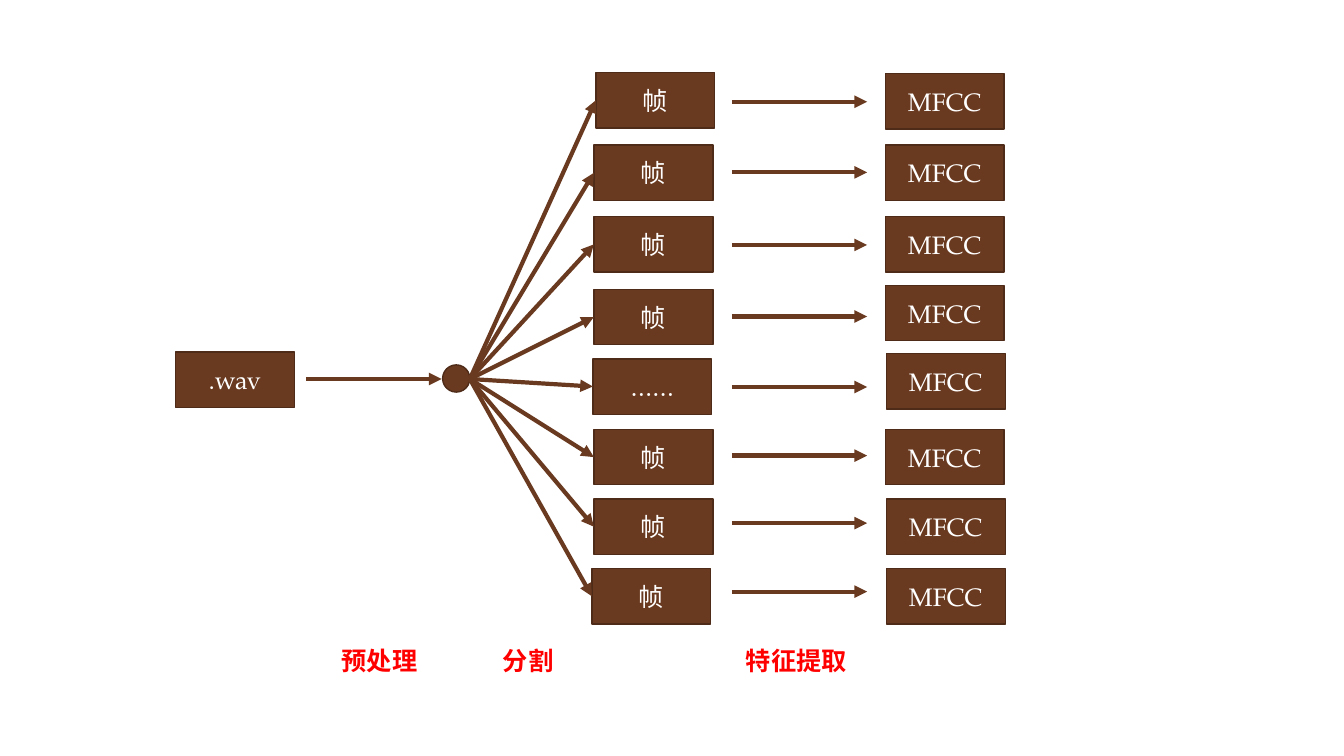
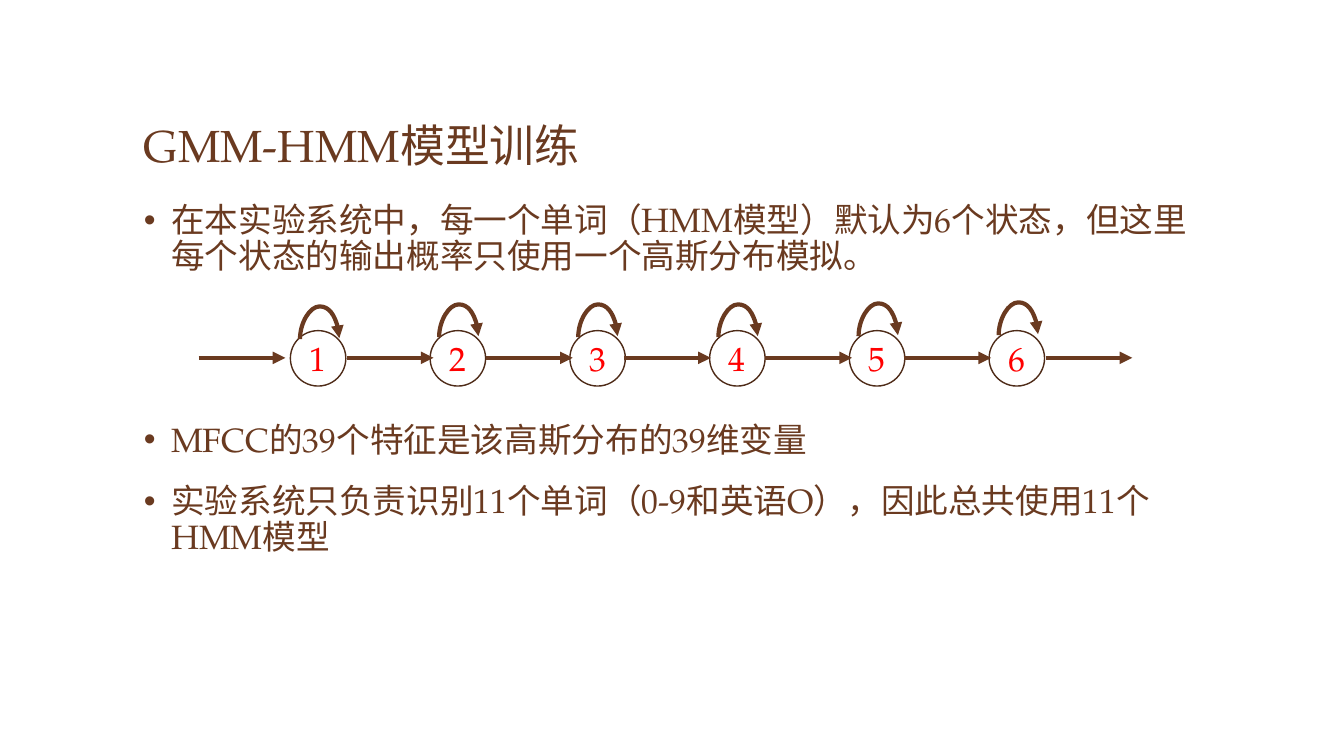
from dataclasses import dataclass

from lxml.etree import SubElement
from pptx import Presentation
from pptx.dml.color import RGBColor
from pptx.enum.dml import MSO_LINE
from pptx.enum.lang import MSO_LANGUAGE_ID as Lang
from pptx.enum.shapes import MSO_CONNECTOR as Conn, MSO_SHAPE as Geo
from pptx.enum.text import MSO_ANCHOR as Anchor, PP_ALIGN as Align
from pptx.oxml.ns import qn
from pptx.shapes.autoshape import Shape
from pptx.shapes.connector import Connector
from pptx.slide import Slide
from pptx.text.text import TextFrame, _Paragraph as Paragraph
from pptx.util import Inches, Pt

BROWN = RGBColor(0x6A, 0x3A, 0x20)
DARK_BROWN = RGBColor(0x4E, 0x2B, 0x18)
WHITE = RGBColor(0xFF, 0xFF, 0xFF)
RED = RGBColor(0xFF, 0x00, 0x00)
FONT = "TeX Gyre Pagella"

BOX_W, BOX_H = 1.18, 0.55
NODE = 0.55
HUB_X, HUB_Y, HUB = 4.39, 3.62, 0.27
AXIS_Y = 3.76
ARROW_LEN = 1.34
CHAIN_Y = 3.55
STEP_LEN = 0.86
LOOP_SPAN, LOOP_DROP, LOOP_RISE = 0.39, 0.01, 0.33


@dataclass(frozen=True)
class FrameRow:
    text: str
    frame_x: float
    frame_y: float
    arrow_y: float
    mfcc_x: float
    mfcc_y: float


@dataclass(frozen=True)
class Label:
    text: str
    x: float


@dataclass(frozen=True)
class State:
    name: str
    loop_x: float
    loop_y: float
    arrow_x: float


@dataclass(frozen=True)
class Bullet:
    text: str
    before: float = 18


ROWS = (
    FrameRow("帧", 5.91, 0.72, 1.01, 8.78, 0.73),
    FrameRow("帧", 5.89, 1.44, 1.71, 8.78, 1.44),
    FrameRow("帧", 5.89, 2.15, 2.43, 8.78, 2.15),
    FrameRow("帧", 5.89, 2.87, 3.14, 8.78, 2.83),
    FrameRow("……", 5.88, 3.56, 3.84, 8.79, 3.51),
    FrameRow("帧", 5.89, 4.26, 4.52, 8.78, 4.26),
    FrameRow("帧", 5.89, 4.95, 5.19, 8.79, 4.95),
    FrameRow("帧", 5.87, 5.64, 5.87, 8.79, 5.64),
)
LABELS = (Label("预处理", 3.29), Label("分割", 4.89), Label("特征提取", 7.3))
STATES = (
    State("1", 3.17, 3.36, 3.44),
    State("2", 4.55, 3.34, 4.82),
    State("3", 5.93, 3.34, 6.19),
    State("4", 7.32, 3.34, 7.59),
    State("5", 8.71, 3.33, 8.97),
    State("6", 10.1, 3.32, 10.37),
)
FIRST_NODE_X, LAST_NODE_X = 2.88, 9.81
BULLETS = (
    Bullet("在本实验系统中，每一个单词（HMM模型）默认为6个状态，但这里每个状态的输出概率只使用一个高斯分布模拟。"),
    Bullet("MFCC的39个特征是该高斯分布的39维变量", 105),
    Bullet("实验系统只负责识别11个单词（0-9和英语O），因此总共使用11个HMM模型"),
)


def add_run(p: Paragraph, text: str, size: float, color: RGBColor, bold: bool = False) -> None:
    r = p.add_run()
    r.text = text
    r.font.name = FONT
    r.font.size = Pt(size)
    r.font.bold = bold
    r.font.color.rgb = color
    r.font.language_id = Lang.SIMPLIFIED_CHINESE


def add_node(s: Slide, geo: Geo, x: float, y: float, w: float, h: float, fill: RGBColor,
             text: str = "", size: float = 18, color: RGBColor = WHITE) -> Shape:
    sp = s.shapes.add_shape(geo, Inches(x), Inches(y), Inches(w), Inches(h))
    sp.shadow.inherit = False
    sp.fill.solid()
    sp.fill.fore_color.rgb = fill
    sp.line.color.rgb = DARK_BROWN
    sp.line.width = Pt(1)
    if text:
        tf = sp.text_frame
        tf.vertical_anchor = Anchor.MIDDLE
        p = tf.paragraphs[0]
        p.alignment = Align.CENTER
        add_run(p, text, size, color)
    return sp


def add_box(s: Slide, x: float, y: float, text: str) -> Shape:
    return add_node(s, Geo.RECTANGLE, x, y, BOX_W, BOX_H, BROWN, text)


def add_text(s: Slide, x: float, y: float, w: float, h: float) -> TextFrame:
    tf = s.shapes.add_textbox(Inches(x), Inches(y), Inches(w), Inches(h)).text_frame
    tf.word_wrap = True
    return tf


def add_arrow(s: Slide, x1: float, y1: float, x2: float, y2: float,
              kind: Conn = Conn.STRAIGHT) -> Connector:
    c = s.shapes.add_connector(kind, Inches(x1), Inches(y1), Inches(x2), Inches(y2))
    c.line.color.rgb = BROWN
    c.line.width = Pt(3)
    c.line.dash_style = MSO_LINE.SOLID
    sppr = c._element.spPr
    SubElement(sppr.find(qn("a:ln")), qn("a:tailEnd"), type="triangle")
    SubElement(sppr, qn("a:effectLst"))
    return c


def add_loop(s: Slide, x: float, y: float) -> None:
    dx, dy = LOOP_DROP / 2, LOOP_SPAN / 2
    c = add_arrow(s, x + dx, y + dy, x - dx, y - dy, Conn.CURVE)
    sppr = c._element.spPr
    sppr.find(qn("a:xfrm")).set("rot", str(90 * 60000))
    geom = sppr.find(qn("a:prstGeom"))
    guides = geom.find(qn("a:avLst"))
    if guides is None:
        guides = SubElement(geom, qn("a:avLst"))
    bend = round(LOOP_RISE / LOOP_DROP * 100000)
    SubElement(guides, qn("a:gd"), name="adj1", fmla=f"val {bend}")


def add_bullet(p: Paragraph, bullet: Bullet) -> None:
    p.line_spacing = 0.9
    p.space_before = Pt(bullet.before)
    ppr = p._p.get_or_add_pPr()
    ppr.set("marL", str(Inches(0.27)))
    ppr.set("indent", str(-Inches(0.27)))
    color = SubElement(ppr, qn("a:buClr"))
    SubElement(color, qn("a:srgbClr"), val=str(BROWN))
    SubElement(ppr, qn("a:buFont"), typeface="Arial")
    SubElement(ppr, qn("a:buChar"), char="•")
    add_run(p, bullet.text, 24, BROWN)


def build_features(s: Slide) -> None:
    add_box(s, 1.74, 3.49, ".wav")
    add_arrow(s, 3.04, AXIS_Y, 3.04 + ARROW_LEN, AXIS_Y)
    add_node(s, Geo.OVAL, HUB_X, HUB_Y, HUB, HUB, BROWN)
    for row in ROWS:
        frame = add_box(s, row.frame_x, row.frame_y, row.text)
        fan = add_arrow(s, HUB_X + HUB, AXIS_Y, row.frame_x, row.frame_y + BOX_H / 2)
        fan.end_connect(frame, 1)
        add_arrow(s, 7.26, row.arrow_y, 7.26 + ARROW_LEN, row.arrow_y)
        add_box(s, row.mfcc_x, row.mfcc_y, "MFCC")
    for label in LABELS:
        tf = add_text(s, label.x, 6.35, 1.26, 0.4)
        add_run(tf.paragraphs[0], label.text, 18, RED, True)


def build_training(s: Slide) -> None:
    tf = add_text(s, 1.33, 0.47, 10.66, 1.28)
    tf.vertical_anchor = Anchor.BOTTOM
    add_run(tf.paragraphs[0], "GMM-HMM模型训练", 32, BROWN)
    tf = add_text(s, 1.33, 1.97, 10.66, 4.67)
    for i, bullet in enumerate(BULLETS):
        add_bullet(tf.add_paragraph() if i else tf.paragraphs[0], bullet)
    pitch = (LAST_NODE_X - FIRST_NODE_X) / (len(STATES) - 1)
    for i, state in enumerate(STATES):
        add_node(s, Geo.OVAL, FIRST_NODE_X + i * pitch, 3.28, NODE, NODE, WHITE,
                 state.name, 24, RED)
    for x in (1.97, *(state.arrow_x for state in STATES)):
        add_arrow(s, x, CHAIN_Y, x + STEP_LEN, CHAIN_Y)
    for state in STATES:
        add_loop(s, state.loop_x, state.loop_y)


def main() -> None:
    prs = Presentation()
    prs.slide_width, prs.slide_height = Inches(13.33), Inches(7.5)
    for build in (build_features, build_training):
        build(prs.slides.add_slide(prs.slide_layouts[6]))
    prs.save("out.pptx")


if __name__ == "__main__":
    main()
